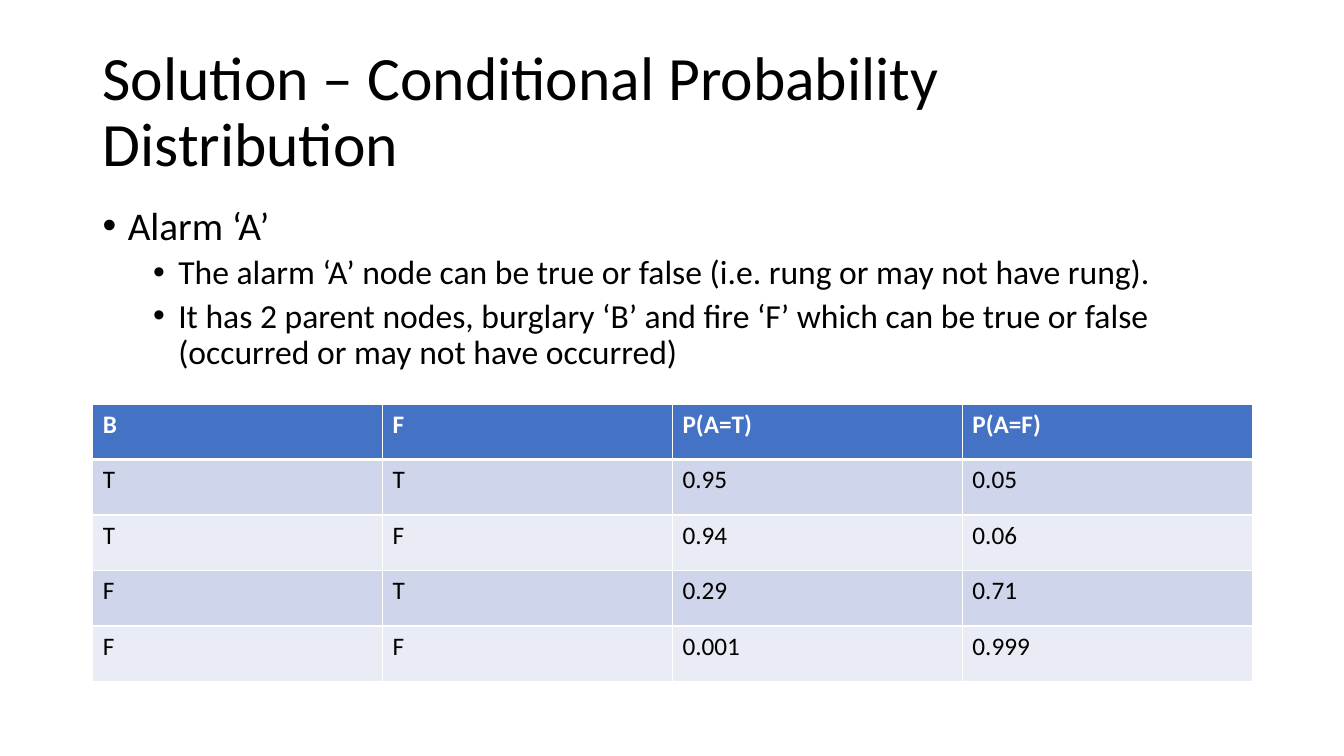
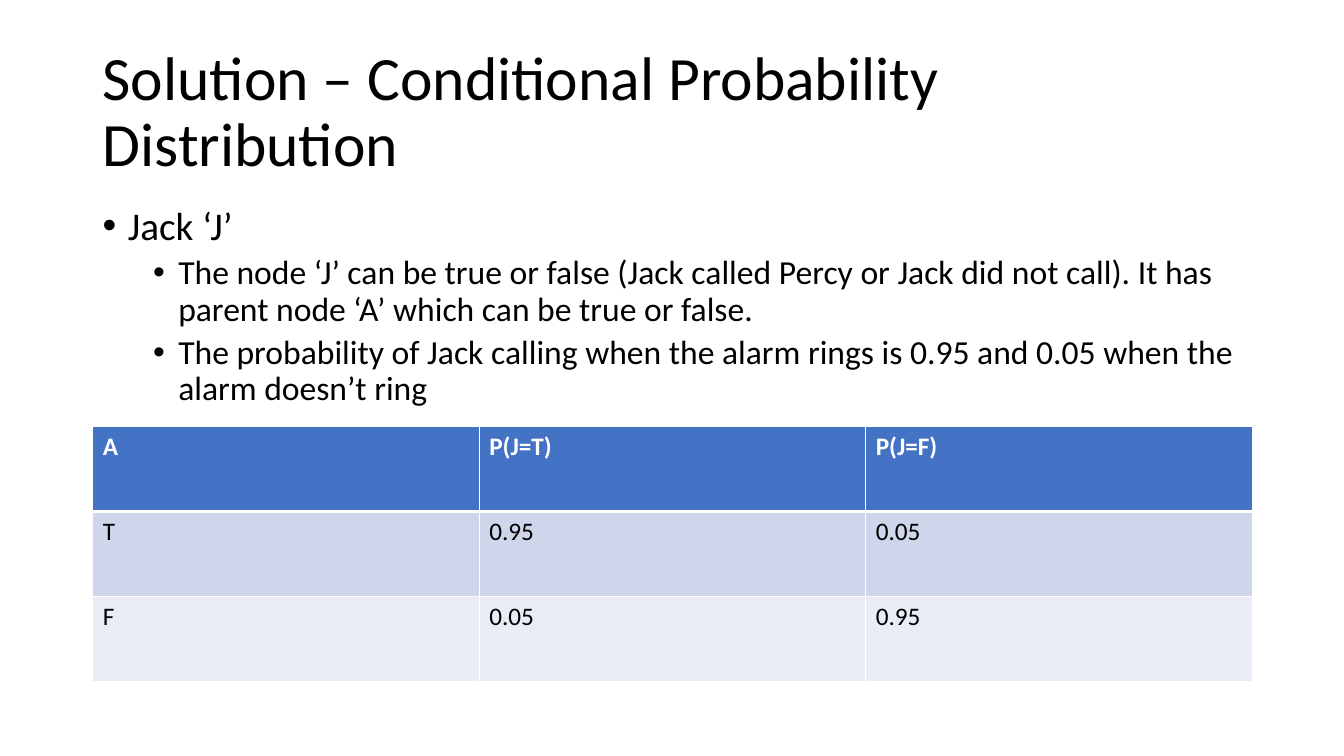
from pptx import Presentation
from pptx.dml.color import RGBColor
from pptx.enum.text import MSO_ANCHOR as Anchor
from pptx.oxml.ns import qn
from pptx.util import Inches, Pt
from lxml.etree import SubElement as Sub

BLACK = RGBColor(0x00, 0x00, 0x00)
WHITE = RGBColor(0xFF, 0xFF, 0xFF)
BLUE = RGBColor(0x44, 0x72, 0xC4)
BANDS = (RGBColor(0xCF, 0xD5, 0xEA), RGBColor(0xE9, 0xEB, 0xF5))

FACE = "Calibri"
HEAD = "Solution – Conditional Probability Distribution"
LEFT, WIDE, BASE = 0.92, 11.5, 6.76
TITLE_BOX = (LEFT, 0.4, WIDE, 1.45)
BODY_BOX = (LEFT, 2, WIDE, 4.76)

TITLE = {"size": Pt(44), "name": FACE}
# Per bullet level: font size, space before and text indent
LEVELS = ((28, 10, 0.25), (24, 5, 0.75))
HANG = 0.25

SLIDES = (
    {
        "points": (
            (0, "Alarm ‘A’"),
            (1, "The alarm ‘A’ node can be true or false (i.e. rung or may not have rung)."),
            (1, "It has 2 parent nodes, burglary ‘B’ and fire ‘F’ which can be "
                "true or false (occurred or may not have occurred)"),
        ),
        "top": 4.01,
        "rows": (
            ("B", "F", "P(A=T)", "P(A=F)"),
            ("T", "T", "0.95", "0.05"),
            ("T", "F", "0.94", "0.06"),
            ("F", "T", "0.29", "0.71"),
            ("F", "F", "0.001", "0.999"),
        ),
    },
    {
        "points": (
            (0, "Jack ‘J’"),
            (1, "The node ‘J’ can be true or false (Jack called Percy or Jack did "
                "not call). It has parent node ‘A’ which can be true or false."),
            (1, "The probability of Jack calling when the alarm rings is 0.95 and "
                "0.05 when the alarm doesn’t ring"),
        ),
        "top": 4.23,
        "rows": (
            ("A", "P(J=T)", "P(J=F)"),
            ("T", "0.95", "0.05"),
            ("F", "0.05", "0.95"),
        ),
    },
)


def style(font, form, color=BLACK):
    for key, value in form.items():
        setattr(font, key, value)
    font.color.rgb = color


def write(para, text, form, color=BLACK):
    run = para.add_run()
    run.text = text
    style(run.font, form, color)


def add_frame(slide, box, anchor):
    frame = slide.shapes.add_textbox(*map(Inches, box)).text_frame
    frame.word_wrap = True
    frame.vertical_anchor = anchor
    return frame


def add_title(slide, box):
    para = add_frame(slide, box, Anchor.MIDDLE).paragraphs[0]
    para.line_spacing = 0.9
    write(para, HEAD, TITLE)


def add_points(slide, box, points):
    frame = add_frame(slide, box, Anchor.TOP)
    for i, (level, text) in enumerate(points):
        para = frame.add_paragraph() if i else frame.paragraphs[0]
        size, space, indent = LEVELS[level]
        form = {"level": level, "line_spacing": 0.9, "space_before": Pt(space)}
        for key, value in form.items():
            setattr(para, key, value)
        props = para._p.get_or_add_pPr()
        props.set("marL", str(Inches(indent)))
        props.set("indent", str(-Inches(HANG)))
        Sub(props, qn("a:buFont"), typeface="Arial")
        Sub(props, qn("a:buChar"), char="•")
        write(para, text, {"size": Pt(size), "name": FACE})


def add_edges(cell, widths):
    """Draw white cell borders; widths maps each side tag to points."""
    props = cell._tc.get_or_add_tcPr()
    for side, width in widths.items():
        line = Sub(props, qn("a:" + side), w=str(Pt(width)))
        fill = Sub(line, qn("a:solidFill"))
        Sub(fill, qn("a:srgbClr"), val=str(WHITE))


def add_grid(slide, box, rows):
    """Fill the box with a table of equal rows and columns."""
    left, top, wide, high = map(Inches, box)
    count = len(rows[0])
    table = slide.shapes.add_table(len(rows), count, left, top, wide, high).table
    for r, row in enumerate(rows):
        first = r == 0
        fill = BLUE if first else BANDS[(r - 1) % 2]
        edges = {"lnL": 1, "lnR": 1, "lnT": 3 if r == 1 else 1, "lnB": 3 if first else 1}
        form = {"size": Pt(18), "name": FACE, "bold": first}
        for c, text in enumerate(row):
            cell = table.cell(r, c)
            add_edges(cell, edges)
            cell.fill.solid()
            cell.fill.fore_color.rgb = fill
            write(cell.text_frame.paragraphs[0], text, form, WHITE if first else BLACK)


def add_solution(deck, points, top, rows):
    slide = deck.slides.add_slide(deck.slide_layouts[6])
    add_title(slide, TITLE_BOX)
    add_points(slide, BODY_BOX, points)
    add_grid(slide, (LEFT, top, WIDE, BASE - top), rows)


def main():
    deck = Presentation()
    deck.slide_width, deck.slide_height = Inches(13.33), Inches(7.5)
    for data in SLIDES:
        add_solution(deck, **data)
    deck.save("out.pptx")


if __name__ == "__main__":
    main()
